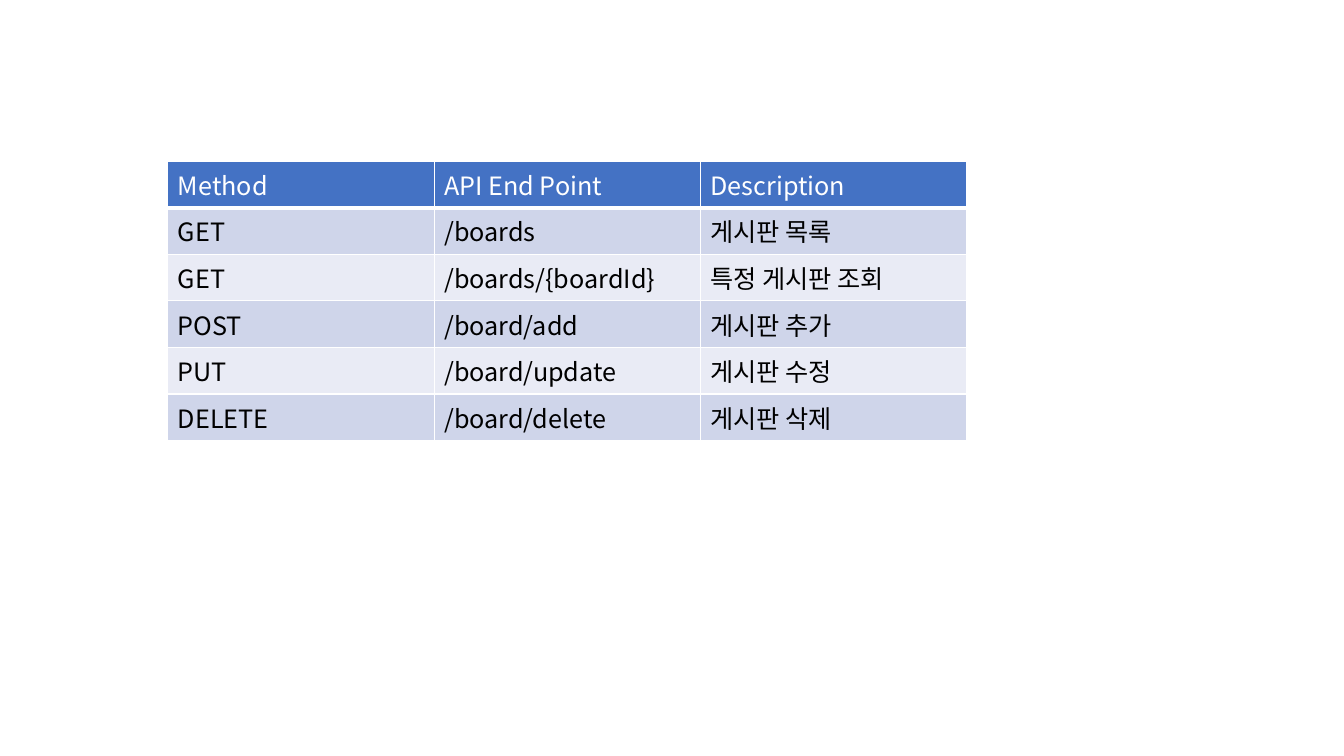
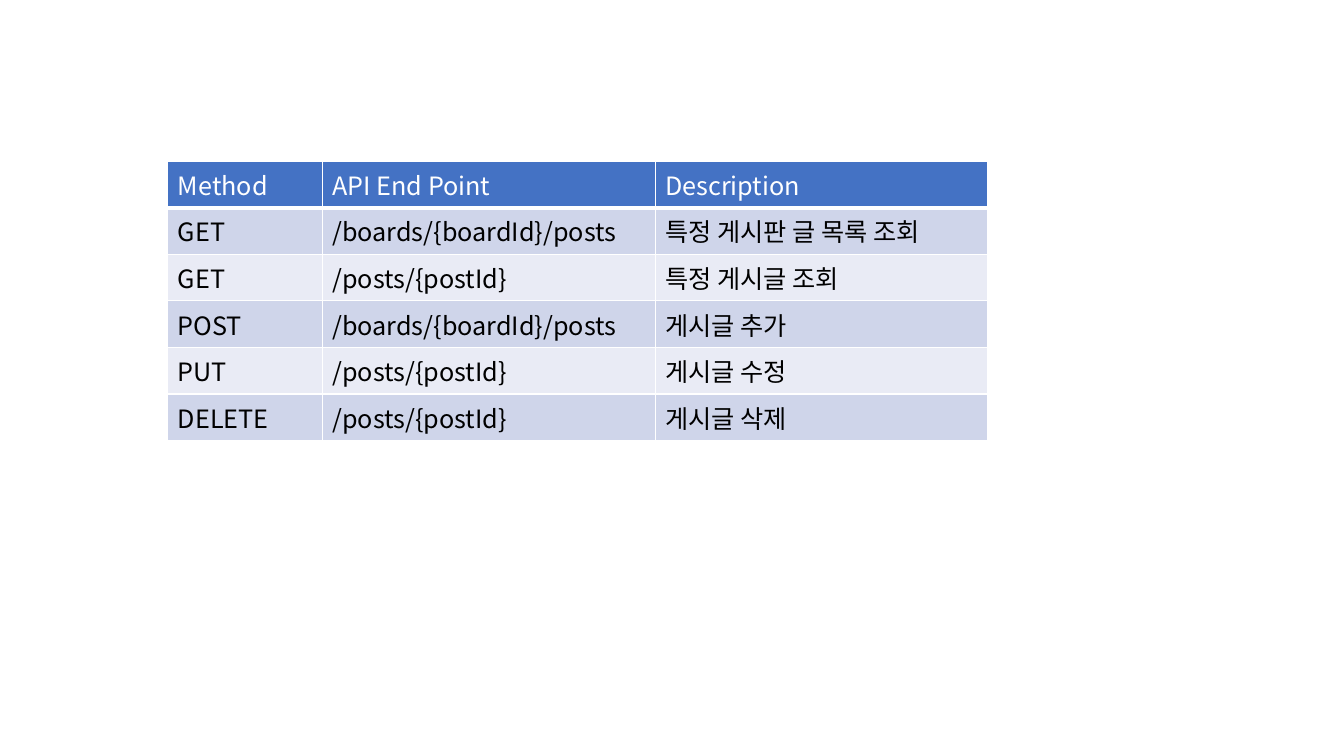
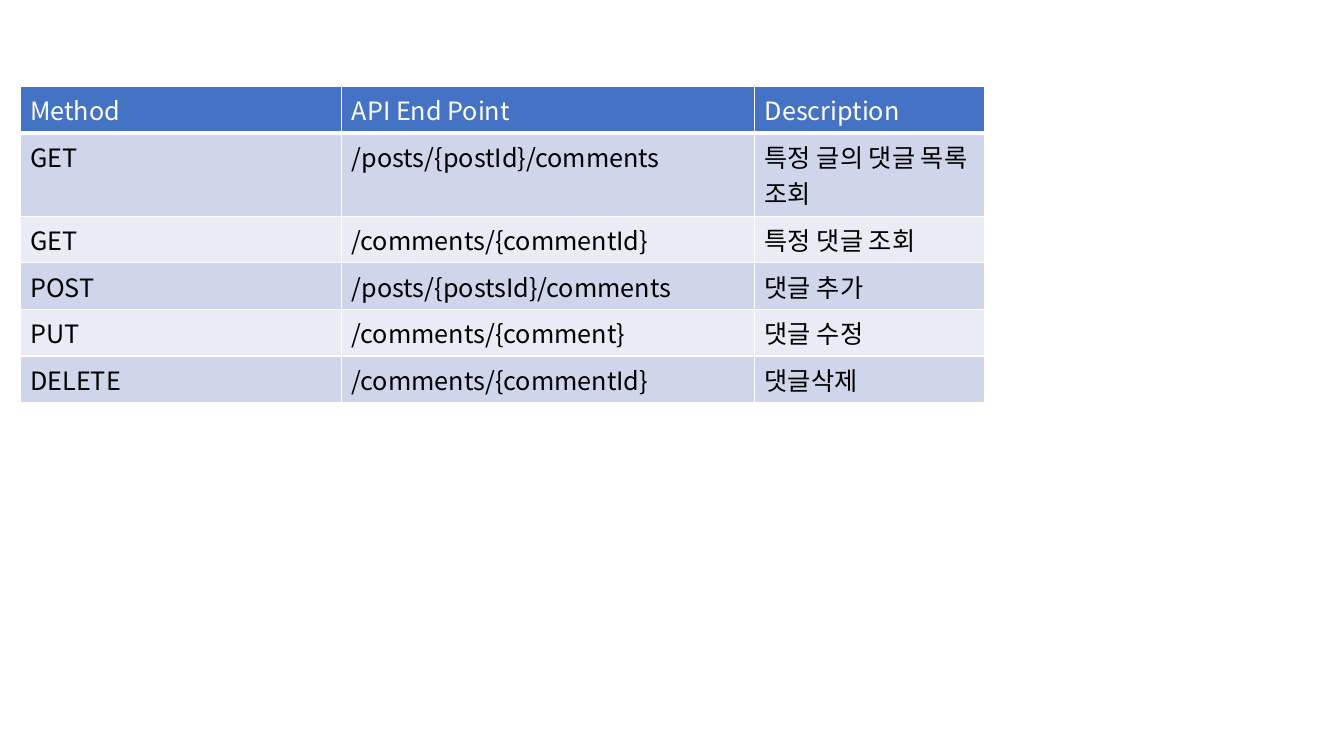
"""Build three slides of REST API tables for boards, posts and comments."""
from dataclasses import dataclass

import pptx
import pptx.dml.color
import pptx.oxml.ns
import pptx.util
from lxml import etree

HEADER = ("Method", "API End Point", "Description")
METHODS = ("GET", "GET", "POST", "PUT", "DELETE")

API_TABLES = [
    {
        "at": (4.23, 4.06),
        "columns": (6.71, 6.71, 6.71),
        "calls": [
            ("/boards", "게시판 목록"),
            ("/boards/{boardId}", "특정 게시판 조회"),
            ("/board/add", "게시판 추가"),
            ("/board/update", "게시판 수정"),
            ("/board/delete", "게시판 삭제"),
        ],
    },
    {
        "at": (4.23, 4.06),
        "columns": (3.89, 8.39, 8.39),
        "calls": [
            ("/boards/{boardId}/posts", "특정 게시판 글 목록 조회"),
            ("/posts/{postId}", "특정 게시글 조회"),
            ("/boards/{boardId}/posts", "게시글 추가"),
            ("/posts/{postId}", "게시글 수정"),
            ("/posts/{postId}", "게시글 삭제"),
        ],
    },
    {
        "at": (0.51, 2.18),
        "columns": (8.1, 10.41, 5.79),
        "calls": [
            ("/posts/{postId}/comments", "특정 글의 댓글 목록 조회"),
            ("/comments/{commentId}", "특정 댓글 조회"),
            ("/posts/{postsId}/comments", "댓글 추가"),
            ("/comments/{comment}", "댓글 수정"),
            ("/comments/{commentId}", "댓글삭제"),
        ],
    },
]


@dataclass(frozen=True)
class Theme:
    font: str = "Noto Sans CJK KR"
    size: int = 18
    header_fill: str = "4472C4"
    header_text: str = "FFFFFF"
    body_fills: tuple = ("CFD5EA", "E9EBF5")
    body_text: str = "000000"
    border: str = "FFFFFF"
    thin: int = 1
    thick: int = 3
    row_height: float = 1.17


THEME = Theme()
Cm = pptx.util.Cm
Pt = pptx.util.Pt
RGB = pptx.dml.color.RGBColor.from_string
qn = pptx.oxml.ns.qn


def set_borders(cell, bottom):
    tcPr = cell._tc.get_or_add_tcPr()
    widths = {"lnL": THEME.thin, "lnR": THEME.thin, "lnT": THEME.thin, "lnB": bottom}
    for i, (side, width) in enumerate(widths.items()):
        ln = etree.Element(qn(f"a:{side}"), w=str(Pt(width)))
        fill = etree.SubElement(ln, qn("a:solidFill"))
        etree.SubElement(fill, qn("a:srgbClr"), val=THEME.border)
        tcPr.insert(i, ln)


def fill_cell(cell, text, fill, color, bottom):
    cell.fill.solid()
    cell.fill.fore_color.rgb = RGB(fill)
    set_borders(cell, bottom)
    p = cell.text_frame.paragraphs[0]
    p.text = text
    r = p.runs[0]
    r.font.size = Pt(THEME.size)
    r.font.bold = False
    r.font.color.rgb = RGB(color)
    r.font.name = THEME.font
    etree.SubElement(r.font._element, qn("a:ea"), typeface=THEME.font)


def add_api_table(s, at, columns, calls):
    rows = [HEADER] + [(method, *call) for method, call in zip(METHODS, calls)]
    left, top = at
    table = s.shapes.add_table(
        len(rows), len(columns), Cm(left), Cm(top),
        Cm(sum(columns)), Cm(THEME.row_height * len(rows)),
    ).table
    for column, width in zip(table.columns, columns):
        column.width = Cm(width)
    for i, row in enumerate(rows):
        if i == 0:
            style = (THEME.header_fill, THEME.header_text, THEME.thick)
        else:
            style = (THEME.body_fills[(i - 1) % 2], THEME.body_text, THEME.thin)
        for j, text in enumerate(row):
            fill_cell(table.cell(i, j), text, *style)


def main():
    prs = pptx.Presentation()
    prs.slide_width, prs.slide_height = Cm(33.87), Cm(19.05)
    blank = prs.slide_layouts.get_by_name("Blank")
    for api_table in API_TABLES:
        add_api_table(prs.slides.add_slide(blank), **api_table)
    prs.save("out.pptx")


if __name__ == "__main__":
    main()
